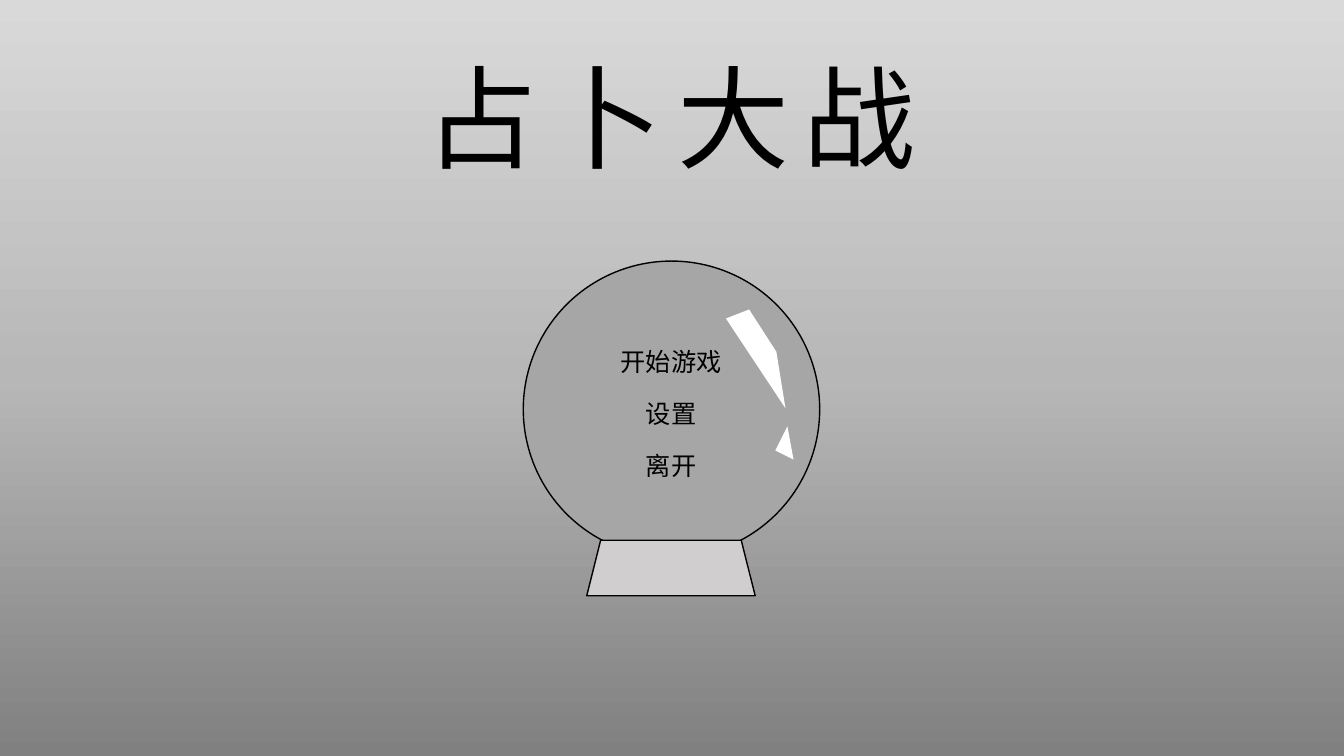
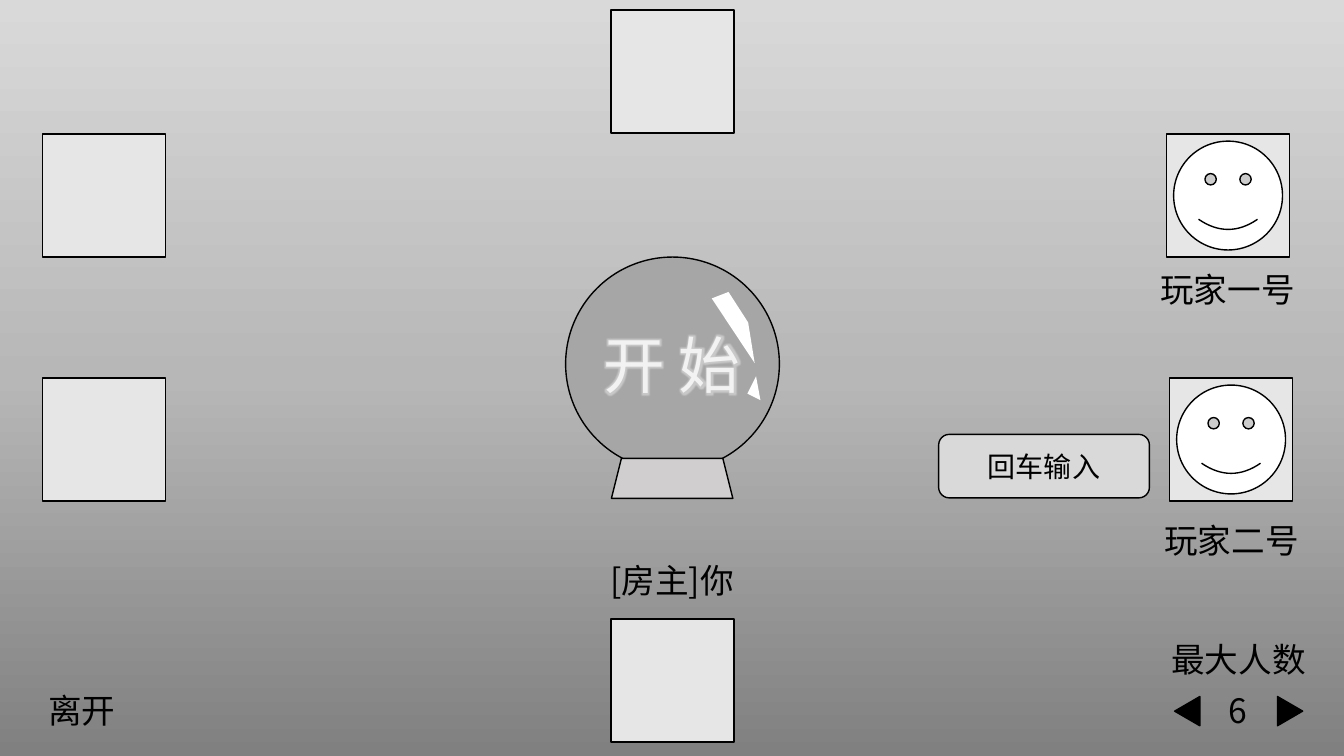
"""Builds the title screen and the waiting room of a fortune-telling game."""
from lxml.etree import SubElement
from pptx import Presentation
from pptx.dml.color import RGBColor
from pptx.enum.shapes import MSO_SHAPE
from pptx.enum.text import MSO_ANCHOR, MSO_AUTO_SIZE, PP_ALIGN
from pptx.oxml.ns import qn
from pptx.util import Inches, Pt

WIDTH, HEIGHT = 13.33, 7.5
FONT = "Noto Sans CJK SC"
BLACK, WHITE = "000000", "FFFFFF"
BALL, BASE, SEAT, BUBBLE, START = "A6A6A6", "D0CECE", "E7E6E6", "D9D9D9", "F2F2F2"
BACKDROP = [(0, "808080"), (50, "B7B7B7"), (100, "D9D9D9")]

BALL_SIZE = 2.94
BASE_AREA = (0.63, 2.77, 1.67, 0.55)
SHINES = [
    [(2.01, 0.57), (2.24, 0.48), (2.51, 0.9), (2.6, 1.46)],
    [(2.62, 1.64), (2.5, 1.88), (2.68, 1.97)],
]

MENU = ["开始游戏", "设置", "离开"]
MENU_TOP, MENU_STEP = 3.39, 0.515

SEAT_SIZE, FACE_INSET = 1.22, 0.07
EMPTY_SEATS = [(6.06, 0.1), (6.06, 6.14), (0.42, 1.33), (0.42, 3.75)]
PLAYERS = [
    ((11.57, 1.33), "玩家一号", (11.4, 2.62)),
    ((11.6, 3.75), "玩家二号", (11.44, 5.11)),
]
ROOM_LABELS = [
    ("[房主]你", (5.82, 5.51, 1.69, 0.5)),
    ("最大人数", (11.51, 6.29, 1.55, 0.5)),
    ("6", (12.06, 6.8, 0.44, 0.5)),
    ("离开", (0.37, 6.8, 0.88, 0.5)),
]
ARROWS = [(11.63, 270), (12.65, 90)]


def color(value):
    return RGBColor.from_string(value)


def paint(shape, fill, line=BLACK):
    shape.shadow.inherit = False
    shape.fill.solid()
    shape.fill.fore_color.rgb = color(fill)
    if line:
        shape.line.color.rgb = color(line)
        shape.line.width = Pt(1)
    else:
        shape.line.fill.background()


def add_figure(shapes, kind, area, fill):
    figure = shapes.add_shape(kind, *map(Inches, area))
    paint(figure, fill)
    return figure


def write(frame, text, size, ink=BLACK):
    para = frame.paragraphs[0]
    para.alignment = PP_ALIGN.CENTER
    span = para.add_run()
    span.text = text
    span.font.size = Pt(size)
    span.font.color.rgb = color(ink)
    span.font.name = FONT
    properties = span.font._element
    SubElement(properties, qn("a:ea"), typeface=FONT)
    return properties


def add_label(page, text, area, size, ink=BLACK, anchor=MSO_ANCHOR.TOP):
    box = page.shapes.add_textbox(*map(Inches, area))
    frame = box.text_frame
    frame.word_wrap = False
    frame.auto_size = MSO_AUTO_SIZE.SHAPE_TO_FIT_TEXT
    frame.vertical_anchor = anchor
    return write(frame, text, size, ink)


def add_page(deck):
    page = deck.slides.add_slide(deck.slide_layouts[6])
    backdrop = page.shapes.add_shape(
        MSO_SHAPE.RECTANGLE, 0, 0, deck.slide_width, deck.slide_height)
    backdrop.shadow.inherit = False
    backdrop.line.fill.background()
    backdrop.fill.gradient()
    backdrop.fill.gradient_angle = 90
    stops = backdrop._element.spPr.find(".//" + qn("a:gsLst"))
    for stop in list(stops):
        stops.remove(stop)
    for position, value in BACKDROP:
        stop = SubElement(stops, qn("a:gs"), pos=str(position * 1000))
        SubElement(stop, qn("a:srgbClr"), val=value)
    return page


def add_crystal_ball(page, left, top, size):
    scale = size / BALL_SIZE
    group = page.shapes.add_group_shape().shapes

    def place(x, y):
        return Inches(left + x * scale), Inches(top + y * scale)

    add_figure(group, MSO_SHAPE.OVAL, (left, top, size, size), BALL)
    x, y, width, height = (value * scale for value in BASE_AREA)
    add_figure(group, MSO_SHAPE.TRAPEZOID, (left + x, top + y, width, height), BASE)
    for shine in SHINES:
        first, *others = [place(*point) for point in shine]
        outline = group.build_freeform(*first)
        outline.add_line_segments(others, close=True)
        paint(outline.convert_to_shape(), WHITE, None)


def add_glow(properties):
    effects = properties.makeelement(qn("a:effectLst"))
    properties.find(qn("a:solidFill")).addnext(effects)
    glow = SubElement(effects, qn("a:glow"), rad=str(Pt(5)))
    tint = SubElement(glow, qn("a:srgbClr"), val=WHITE)
    SubElement(tint, qn("a:alpha"), val="40000")


def build_title_screen(deck):
    page = add_page(deck)
    title = add_label(page, "占卜大战", (2.31, 0.42, 8.69, 1.45), 80,
                      anchor=MSO_ANCHOR.MIDDLE)
    title.set("spc", "1000")
    add_crystal_ball(page, 5.19, 2.59, BALL_SIZE)
    for index, entry in enumerate(MENU):
        add_label(page, entry, (5.91, MENU_TOP + index * MENU_STEP, 1.49, 0.4), 18)


def build_waiting_room(deck):
    page = add_page(deck)
    add_crystal_ball(page, 5.61, 2.55, 2.12)
    add_glow(add_label(page, "开 始", (5.54, 3.19, 2.25, 0.84), 44, START))

    for left, top in EMPTY_SEATS + [seat for seat, name, spot in PLAYERS]:
        add_figure(page.shapes, MSO_SHAPE.RECTANGLE,
                   (left, top, SEAT_SIZE, SEAT_SIZE), SEAT)
    face_size = SEAT_SIZE - 2 * FACE_INSET
    for (left, top), name, spot in PLAYERS:
        add_figure(page.shapes, MSO_SHAPE.SMILEY_FACE,
                   (left + FACE_INSET, top + FACE_INSET, face_size, face_size), WHITE)
        add_label(page, name, (*spot, 1.55, 0.5), 24)

    for text, area in ROOM_LABELS:
        add_label(page, text, area, 24)
    for left, turn in ARROWS:
        arrow = add_figure(page.shapes, MSO_SHAPE.ISOSCELES_TRIANGLE,
                           (left, 6.93, 0.29, 0.25), BLACK)
        arrow.rotation = turn

    bubble = add_figure(page.shapes, MSO_SHAPE.ROUNDED_RECTANGLE,
                        (9.31, 4.31, 2.09, 0.63), BUBBLE)
    bubble.text_frame.vertical_anchor = MSO_ANCHOR.MIDDLE
    write(bubble.text_frame, "回车输入", 20)


def main():
    deck = Presentation()
    deck.slide_width, deck.slide_height = Inches(WIDTH), Inches(HEIGHT)
    build_title_screen(deck)
    build_waiting_room(deck)
    deck.save("out.pptx")


if __name__ == "__main__":
    main()
